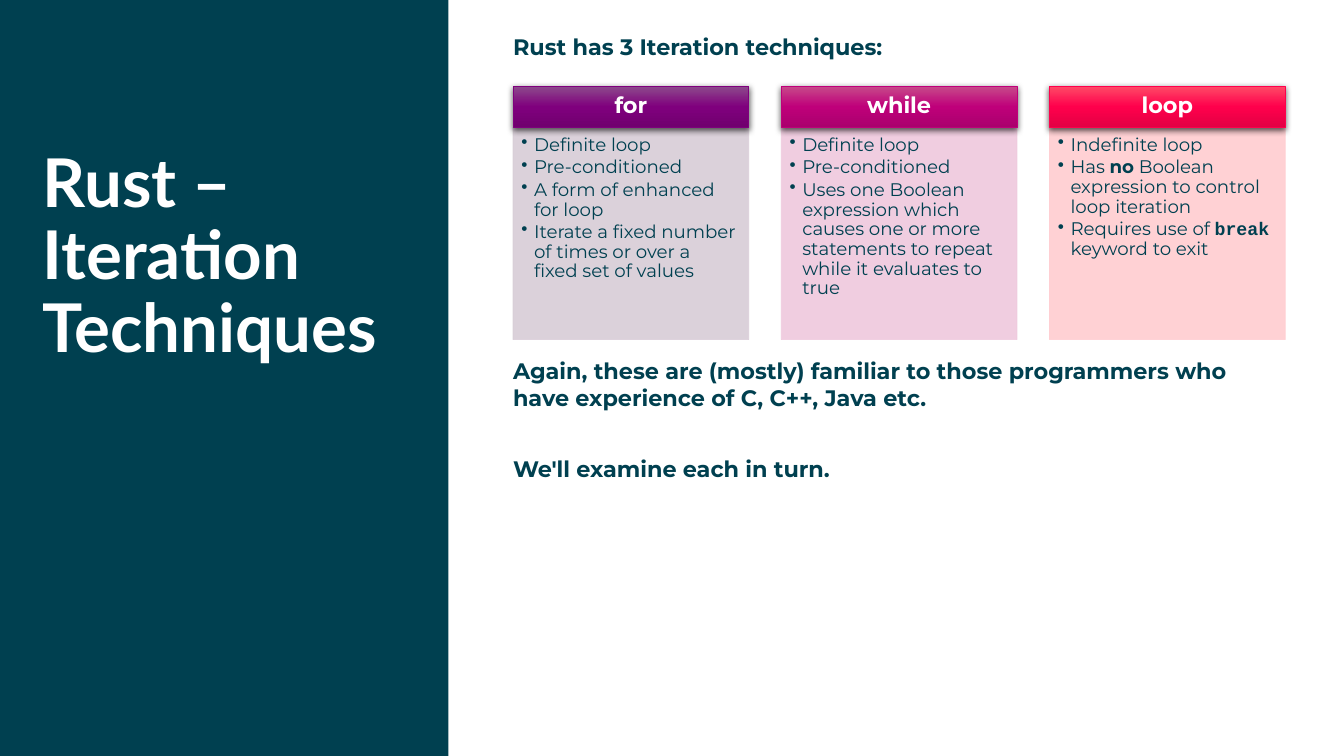
"""Build the slide on the three iteration techniques of Rust."""
import dataclasses
import typing

import pptx
import pptx.dml.color
import pptx.enum.shapes
import pptx.enum.text
import pptx.oxml
import pptx.oxml.ns
import pptx.shapes.autoshape
import pptx.util

Cm = pptx.util.Cm
Pt = pptx.util.Pt
RGBColor = pptx.dml.color.RGBColor
Align = pptx.enum.text.PP_ALIGN
Anchor = pptx.enum.text.MSO_ANCHOR
Fit = pptx.enum.text.MSO_AUTO_SIZE
Shape = pptx.shapes.autoshape.Shape

TEAL = RGBColor(0x00, 0x40, 0x50)
WHITE = RGBColor(0xFF, 0xFF, 0xFF)
PURPLE = RGBColor(0x7F, 0x00, 0x7D)
PURPLE_TOP = RGBColor(0x8D, 0x4B, 0x8C)
PURPLE_LOW = RGBColor(0x71, 0x00, 0x6F)
PURPLE_PALE = RGBColor(0xD8, 0xCC, 0xD7)
PINK = RGBColor(0xBF, 0x00, 0x7A)
PINK_TOP = RGBColor(0xC7, 0x4B, 0x8A)
PINK_LOW = RGBColor(0xAA, 0x00, 0x6D)
PINK_PALE = RGBColor(0xEF, 0xC8, 0xDD)
RED = RGBColor(0xFF, 0x00, 0x4C)
RED_TOP = RGBColor(0xFF, 0x4B, 0x67)
RED_LOW = RGBColor(0xE3, 0x00, 0x44)
RED_PALE = RGBColor(0xFF, 0xCC, 0xD0)

SANS = "Montserrat"
LEFT, PITCH, WIDTH = 12.93, 6.76, 5.94
TOP, HEAD, BODY = 2.17, 1.04, 5.35
NS = pptx.oxml.ns.nsdecls("a")


@dataclasses.dataclass
class Part:
    """A run of text in one style."""
    text: str
    bold: bool = False
    face: str = SANS


@dataclasses.dataclass
class Card:
    """A loop keyword with its colours and its points."""
    name: str
    tints: tuple[RGBColor, RGBColor, RGBColor]
    pale: RGBColor
    points: list[list[Part]]


@dataclasses.dataclass
class Line:
    """A statement with the space before it in points."""
    text: str
    gap: float


CARDS = [
    Card("for", (PURPLE_TOP, PURPLE, PURPLE_LOW), PURPLE_PALE, [
        [Part("Definite loop")],
        [Part("Pre-conditioned")],
        [Part("A form of enhanced for loop")],
        [Part("Iterate a fixed number of times or over a fixed set of values")],
    ]),
    Card("while", (PINK_TOP, PINK, PINK_LOW), PINK_PALE, [
        [Part("Definite loop")],
        [Part("Pre-conditioned")],
        [Part("Uses one Boolean expression which causes one or more "
              "statements to repeat while it evaluates to true")],
    ]),
    Card("loop", (RED_TOP, RED, RED_LOW), RED_PALE, [
        [Part("Indefinite loop")],
        [Part("Has "), Part("no", True),
         Part(" Boolean expression to control loop iteration")],
        [Part("Requires use of "), Part("break", True, "Courier New"),
         Part(" keyword to exit")],
    ]),
]
LINES = [
    Line("Rust has 3 Iteration techniques:", 0),
    Line("Again, these are (mostly) familiar to those programmers who "
         "have experience of C, C++, Java etc.", 205.5),
    Line("We'll examine each in turn.", 25.5),
]


def put(item: typing.Any, form: dict[str, typing.Any]) -> None:
    """Set each format value on an object."""
    for key, value in form.items():
        setattr(item, key, value)


def frame(shape: Shape, pads: tuple[float, ...], anchor: Anchor) -> typing.Any:
    """Set up the text frame of a shape, with its pads in centimetres."""
    text = shape.text_frame
    left, top, right, low = map(Cm, pads)
    put(text, {"word_wrap": True, "auto_size": Fit.NONE,
               "vertical_anchor": anchor, "margin_left": left,
               "margin_top": top, "margin_right": right,
               "margin_bottom": low})
    return text


def write(text: typing.Any, parts: list[Part], size: float, tint: RGBColor,
          form: dict[str, typing.Any], dot: bool = False) -> None:
    """Write one paragraph, with a bullet if asked."""
    para = text.paragraphs[0]
    if para.runs:
        para = text.add_paragraph()
    props = para._p.get_or_add_pPr()
    dent = Cm(0.32) if dot else 0
    props.set("marL", str(dent))
    props.set("indent", str(-dent))
    mark = f'<a:buChar {NS} char="•"/>' if dot else f"<a:buNone {NS}/>"
    props.append(pptx.oxml.parse_xml(mark))
    put(para, {"alignment": Align.LEFT, "space_before": Pt(0)} | form)
    for part in parts:
        run = para.add_run()
        run.text = part.text
        put(run.font, {"name": part.face, "size": Pt(size), "bold": part.bold})
        run.font.color.rgb = tint


def block(slide: typing.Any, box: tuple[float, ...], tint: RGBColor,
          edge: RGBColor | None = None) -> Shape:
    """Draw a filled rectangle, with its box in centimetres."""
    kind = pptx.enum.shapes.MSO_SHAPE.RECTANGLE
    shape = slide.shapes.add_shape(kind, *map(Cm, box))
    shape.shadow.inherit = False
    shape.fill.solid()
    shape.fill.fore_color.rgb = tint
    if edge is None:
        shape.line.fill.background()
    else:
        shape.line.color.rgb = edge
        shape.line.width = Pt(0.5)
    return shape


def shade(shape: Shape, tints: tuple[RGBColor, ...]) -> None:
    """Give a shape a downward gradient and a soft shadow."""
    stops = "".join(f'<a:gs pos="{50000 * i}"><a:srgbClr val="{tint}"/></a:gs>'
                    for i, tint in enumerate(tints))
    props = shape.element.spPr
    fill = props.find(pptx.oxml.ns.qn("a:solidFill"))
    props.replace(fill, pptx.oxml.parse_xml(
        f'<a:gradFill {NS} rotWithShape="1"><a:gsLst>{stops}</a:gsLst>'
        '<a:lin ang="5400000" scaled="0"/></a:gradFill>'))
    glow = props.find(pptx.oxml.ns.qn("a:effectLst"))
    glow.append(pptx.oxml.parse_xml(
        f'<a:outerShdw {NS} blurRad="{Pt(4.5)}" dist="{Pt(1.5)}" '
        'dir="5400000" algn="ctr" rotWithShape="0"><a:srgbClr val="000000">'
        '<a:alpha val="63000"/></a:srgbClr></a:outerShdw>'))


def fade(shape: Shape) -> None:
    """Make the fill and the line slightly transparent."""
    for tint in shape.element.spPr.iter(pptx.oxml.ns.qn("a:srgbClr")):
        tint.append(pptx.oxml.parse_xml(f'<a:alpha {NS} val="90000"/>'))


def draw(slide: typing.Any, card: Card, left: float) -> None:
    """Draw a card with its head and its list."""
    base = block(slide, (left, TOP + HEAD, WIDTH, BODY), card.pale, card.pale)
    fade(base)
    text = frame(base, (0.21, 0.21, 0.27, 0.3), Anchor.TOP)
    for point in card.points:
        write(text, point, 13, TEAL,
              {"line_spacing": 0.9, "space_after": Pt(2)}, dot=True)
    head = block(slide, (left, TOP, WIDTH, HEAD), card.tints[1], card.tints[1])
    shade(head, card.tints)
    text = frame(head, (0.3, 0.17, 0.3, 0.17), Anchor.MIDDLE)
    write(text, [Part(card.name, True)], 16, WHITE,
          {"alignment": Align.CENTER, "line_spacing": 0.9})


def place(shape: Shape, box: tuple[float, ...]) -> typing.Any:
    """Move a placeholder and return its bare text frame."""
    put(shape, dict(zip(("left", "top", "width", "height"), map(Cm, box))))
    return frame(shape, (0, 0, 0, 0), Anchor.TOP)


def main() -> None:
    """Build and save the slide."""
    deck = pptx.Presentation()
    put(deck, {"slide_width": Cm(33.87), "slide_height": Cm(19.05)})
    slide = deck.slides.add_slide(deck.slide_layouts[1])
    title, body = slide.placeholders
    panel = block(slide, (0, 0, 11.3, 19.05), TEAL)
    title.element.addprevious(panel.element)
    text = place(title, (1.07, 3.76, 9.58, 7.65))
    write(text, [Part("Rust – Iteration Techniques", True, "Lato")], 48, WHITE,
          {"line_spacing": 0.9})
    text = place(body, (LEFT, 0.84, 19.46, 11.66))
    for line in LINES:
        write(text, [Part(line.text, True)], 16, TEAL,
              {"space_before": Pt(line.gap), "space_after": Pt(6.5)})
    for i, card in enumerate(CARDS):
        draw(slide, card, LEFT + i * PITCH)
    deck.save("out.pptx")


if __name__ == "__main__":
    main()
